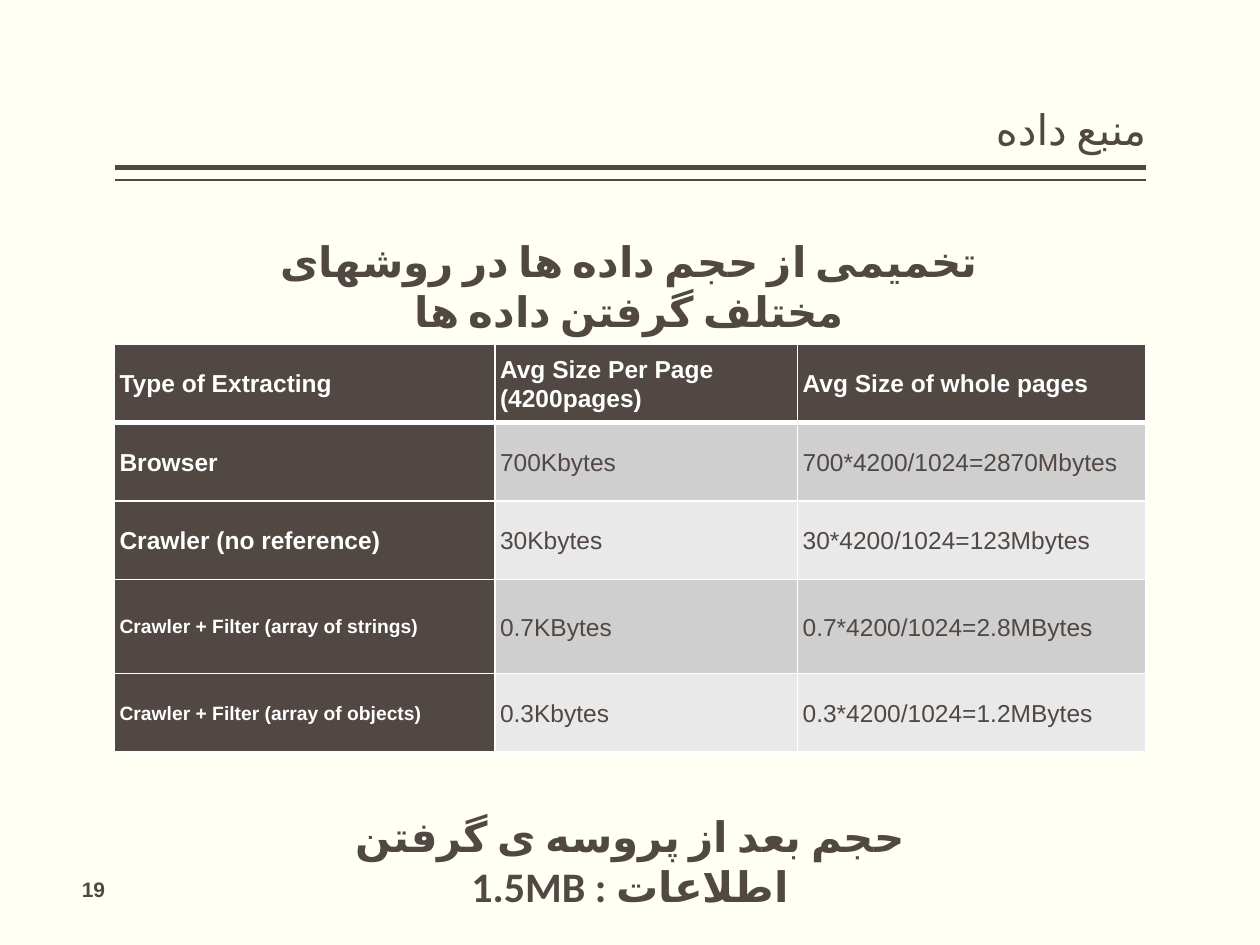
"""Build the data source slide with its size estimate table."""
from dataclasses import dataclass

from lxml import etree
from pptx import Presentation
from pptx import util as u
from pptx.dml.color import RGBColor
from pptx.enum import shapes, text
from pptx.oxml import ns

BROWN = RGBColor(0x51, 0x48, 0x43)
CREAM = RGBColor(0xFF, 0xFF, 0xF3)
WHITE = RGBColor(0xFF, 0xFF, 0xFF)
BANDS = (RGBColor(0xD0, 0xCF, 0xCF), RGBColor(0xE9, 0xE9, 0xE9))
LEFT, RIGHT = u.Cm(2.31), u.Cm(23.11)
WIDTHS = (7.67, 6.1, 7.02)
HEIGHTS = (1.58, 1.58, 1.58, 1.9, 1.58)
ROWS = (
    ("Type of Extracting", "Avg Size Per Page (4200pages)", "Avg Size of whole pages"),
    ("Browser", "700Kbytes", "700*4200/1024=2870Mbytes"),
    ("Crawler (no reference)", "30Kbytes", "30*4200/1024=123Mbytes"),
    ("Crawler + Filter (array of strings)", "0.7KBytes", "0.7*4200/1024=2.8MBytes"),
    ("Crawler + Filter (array of objects)", "0.3Kbytes", "0.3*4200/1024=1.2MBytes"),
)


@dataclass
class Style:
    size: float
    face: str = "Calibri"
    bold: bool = False
    color: RGBColor = BROWN
    lang: str = "en-US"


@dataclass
class Label:
    words: str
    left: float
    top: float
    width: float
    height: float
    style: Style
    rtl: bool = True


HEAD = Style(24, bold=True, lang="fa-IR")
LABELS = (
    Label("حجم بعد از پروسه ی گرفتن اطلاعات : 1.5MB", 5.74, 16.21, 13.92, 1.27, HEAD),
    Label("تخمیمی از حجم داده ها در روشهای مختلف گرفتن داده ها",
          4.01, 4.62, 17.35, 1.27, HEAD),
    Label("19", 1.4, 17.55, 3.81, 1.02, Style(12, "Arial", True), False),
)


def add_run(para, words: str, style: Style) -> None:
    """Add one styled run to a paragraph."""
    run = para.add_run()
    run.text = words
    font = run.font
    font.size, font.name, font.bold = u.Pt(style.size), style.face, style.bold
    font.color.rgb = style.color
    font._element.set("lang", style.lang)
    etree.SubElement(font._element, ns.qn("a:cs"), typeface=style.face)


def set_rtl(para, align) -> None:
    """Make a paragraph run from right to left."""
    para.alignment = align
    para._p.get_or_add_pPr().set("rtl", "1")


def add_rule(slide, top: float, width: float) -> None:
    """Draw one rule below the title."""
    y = u.Cm(top)
    rule = slide.shapes.add_connector(shapes.MSO_CONNECTOR.STRAIGHT, RIGHT, y, LEFT, y)
    rule.line.color.rgb = BROWN
    rule.line.width = u.Pt(width)
    etree.SubElement(rule._element.spPr, ns.qn("a:effectLst"))


def add_title(slide, words: str) -> None:
    """Place and fill the title placeholder."""
    title = slide.shapes.title
    title.left, title.top = LEFT, u.Cm(0.2)
    title.width, title.height = RIGHT - LEFT, u.Cm(3.05)
    frame = title.text_frame
    frame.auto_size = text.MSO_AUTO_SIZE.NONE
    frame.vertical_anchor = text.MSO_ANCHOR.BOTTOM
    frame.margin_left = frame.margin_right = 0
    para = frame.paragraphs[0]
    para.line_spacing = 0.9
    set_rtl(para, text.PP_ALIGN.RIGHT)
    add_run(para, words, Style(24, lang="fa-IR"))


def add_label(slide, label: Label) -> None:
    """Add one text box."""
    spot = (label.left, label.top, label.width, label.height)
    frame = slide.shapes.add_textbox(*map(u.Cm, spot)).text_frame
    frame.word_wrap = True
    para = frame.paragraphs[0]
    if label.rtl:
        set_rtl(para, text.PP_ALIGN.CENTER)
    add_run(para, label.words, label.style)


def add_edge(cell, side: str, width: float) -> None:
    """Give a cell a white border on one side."""
    props = cell._tc.get_or_add_tcPr()
    line = etree.SubElement(props, ns.qn(f"a:ln{side}"), w=str(u.Pt(width)))
    fill = etree.SubElement(line, ns.qn("a:solidFill"))
    etree.SubElement(fill, ns.qn("a:srgbClr"), val=str(WHITE))


def fill_cell(cell, words: str, row: int, col: int) -> None:
    """Format and fill one table cell."""
    dark = row == 0 or col == 0
    for side in "LRTB":
        thick = (row, side) in ((0, "B"), (1, "T"))
        add_edge(cell, side, 3 if thick else 1)
    cell.fill.solid()
    cell.fill.fore_color.rgb = BROWN if dark else BANDS[(row - 1) % 2]
    cell.vertical_anchor = text.MSO_ANCHOR.MIDDLE
    cell.margin_left = cell.margin_right = u.Cm(0.1)
    cell.margin_top = cell.margin_bottom = u.Cm(0.08)
    para = cell.text_frame.paragraphs[0]
    para.line_spacing = 1.07
    size = 11 if col == 0 and row > 2 else 14
    add_run(para, words, Style(size, "Arial", dark, WHITE if dark else BROWN))


def add_grid(slide) -> None:
    """Add the size estimate table."""
    grid = slide.shapes.add_table(
        len(ROWS), len(WIDTHS), LEFT, u.Cm(6.94), RIGHT - LEFT, u.Cm(sum(HEIGHTS))).table
    grid.horz_banding = False
    for col, width in zip(grid.columns, WIDTHS):
        col.width = u.Cm(width)
    for r, (line, height) in enumerate(zip(ROWS, HEIGHTS)):
        grid.rows[r].height = u.Cm(height)
        for c, words in enumerate(line):
            fill_cell(grid.cell(r, c), words, r, c)


def main() -> None:
    """Build and save the deck."""
    deck = Presentation()
    deck.slide_width, deck.slide_height = u.Cm(25.4), u.Cm(19.05)
    slide = deck.slides.add_slide(deck.slide_layouts[5])
    back = slide.background.fill
    back.solid()
    back.fore_color.rgb = CREAM
    add_rule(slide, 3.38, 3)
    add_rule(slide, 3.63, 0.75)
    add_title(slide, "منبع داده")
    add_grid(slide)
    for label in LABELS:
        add_label(slide, label)
    deck.save("out.pptx")


if __name__ == "__main__":
    main()
